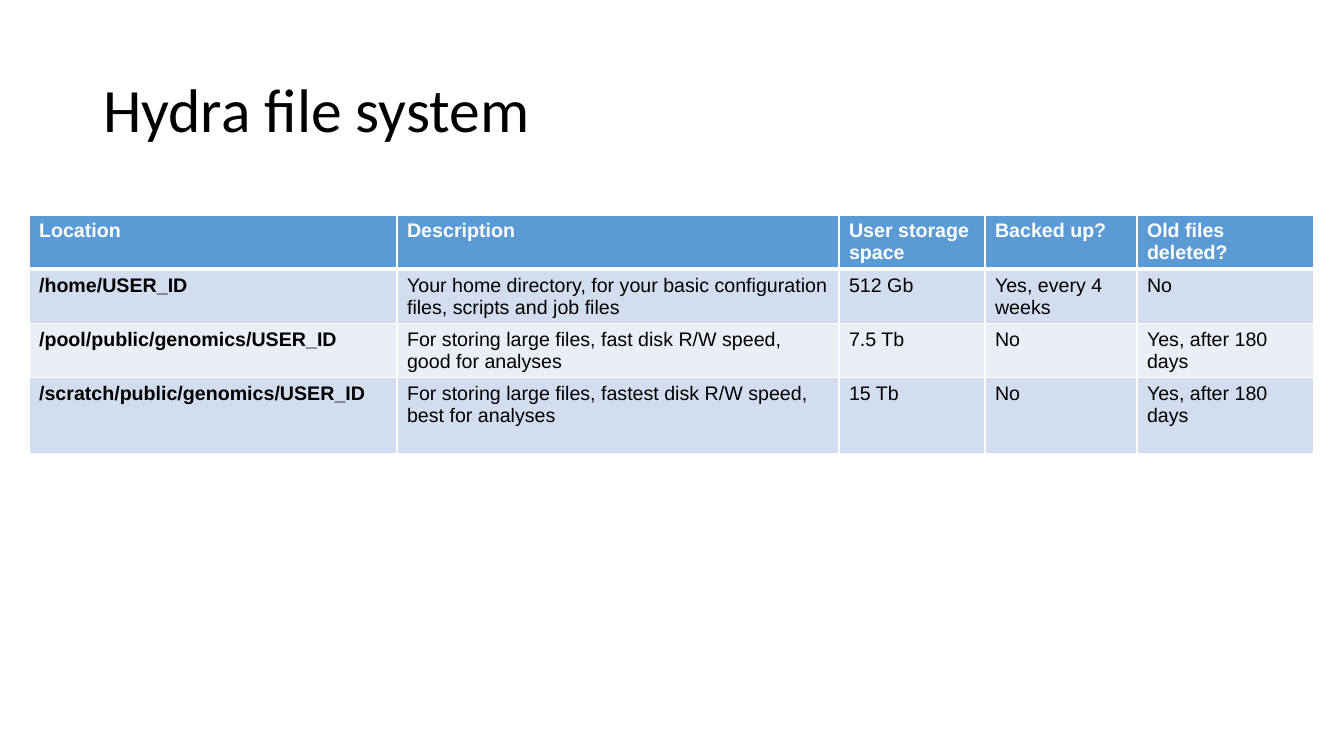
from dataclasses import astuple, dataclass

from lxml.etree import SubElement
from pptx import Presentation
from pptx.dml.color import RGBColor
from pptx.enum.text import MSO_ANCHOR as Anchor, MSO_AUTO_SIZE as AutoSize, PP_ALIGN as Align
from pptx.oxml.ns import qn
from pptx.slide import Slide
from pptx.table import _Cell as Cell
from pptx.text.text import _Paragraph as Paragraph
from pptx.util import Emu, Pt

PX_PER_INCH = 100.8
WHITE, BLACK = "FFFFFF", "000000"
HEADER_FILL = "5B9BD5"
BAND_FILLS = ("D2DEEF", "EAEFF7")
COLUMN_WIDTHS = (368, 442, 146, 152, 177)
ROW_HEIGHTS = (53, 54, 54, 76)


@dataclass(frozen=True)
class StorageRow:
    location: str
    description: str
    space: str
    backed_up: str
    deleted: str


ROWS = (
    StorageRow("Location", "Description", "User storage space", "Backed up?", "Old files deleted?"),
    StorageRow(
        "/home/USER_ID",
        "Your home directory, for your basic configuration files, scripts and job files",
        "512 Gb", "Yes, every 4 weeks", "No",
    ),
    StorageRow(
        "/pool/public/genomics/USER_ID",
        "For storing large files, fast disk R/W speed, good for analyses",
        "7.5 Tb", "No", "Yes, after 180 days",
    ),
    StorageRow(
        "/scratch/public/genomics/USER_ID",
        "For storing large files, fastest disk R/W speed, best for analyses",
        "15 Tb", "No", "Yes, after 180 days",
    ),
)


def px(length: int) -> Emu:
    return Emu(round(length * 914400 / PX_PER_INCH))


def color(value: str) -> RGBColor:
    return RGBColor.from_string(value)


def set_font(para: Paragraph, name: str, size: int, shade: str, bold: bool = False) -> None:
    font = para.font
    font.name, font.size, font.bold = name, Pt(size), bold
    font.color.rgb = color(shade)


def add_borders(cell: Cell, top: int, bottom: int) -> None:
    properties = cell._tc.get_or_add_tcPr()
    for side, points in (("L", 1), ("R", 1), ("T", top), ("B", bottom)):
        line = SubElement(properties, qn(f"a:ln{side}"), w=str(Pt(points)))
        fill = SubElement(line, qn("a:solidFill"))
        SubElement(fill, qn("a:srgbClr"), val=WHITE)


def add_title(slide: Slide, text: str) -> None:
    title = slide.shapes.title
    title.left, title.top, title.width, title.height = map(px, (93, 40, 1159, 146))
    frame = title.text_frame
    frame.text = text
    frame.word_wrap = True
    frame.auto_size = AutoSize.NONE
    frame.vertical_anchor = Anchor.MIDDLE
    para = frame.paragraphs[0]
    para.alignment = Align.LEFT
    para.line_spacing = 0.9
    set_font(para, "Calibri", 44, BLACK)


def fill_cell(cell: Cell, text: str, row: int, column: int) -> None:
    header = row == 0
    add_borders(cell, top=3 if row == 1 else 1, bottom=3 if header else 1)
    cell.fill.solid()
    cell.fill.fore_color.rgb = color(HEADER_FILL if header else BAND_FILLS[(row - 1) % 2])
    cell.text = text
    set_font(
        cell.text_frame.paragraphs[0], "Arial", 14,
        WHITE if header else BLACK, bold=header or column == 0,
    )


def add_storage_table(slide: Slide) -> None:
    table = slide.shapes.add_table(
        len(ROWS), len(COLUMN_WIDTHS), px(29), px(215),
        px(sum(COLUMN_WIDTHS)), px(sum(ROW_HEIGHTS)),
    ).table
    for column, width in zip(table.columns, COLUMN_WIDTHS):
        column.width = px(width)
    for row, height in zip(table.rows, ROW_HEIGHTS):
        row.height = px(height)
    for row_index, storage in enumerate(ROWS):
        for column_index, text in enumerate(astuple(storage)):
            fill_cell(table.cell(row_index, column_index), text, row_index, column_index)


def main() -> None:
    deck = Presentation()
    deck.slide_width, deck.slide_height = px(1344), px(756)
    slide = deck.slides.add_slide(deck.slide_layouts.get_by_name("Title Only"))
    add_title(slide, "Hydra file system")
    add_storage_table(slide)
    deck.save("out.pptx")


if __name__ == "__main__":
    main()
